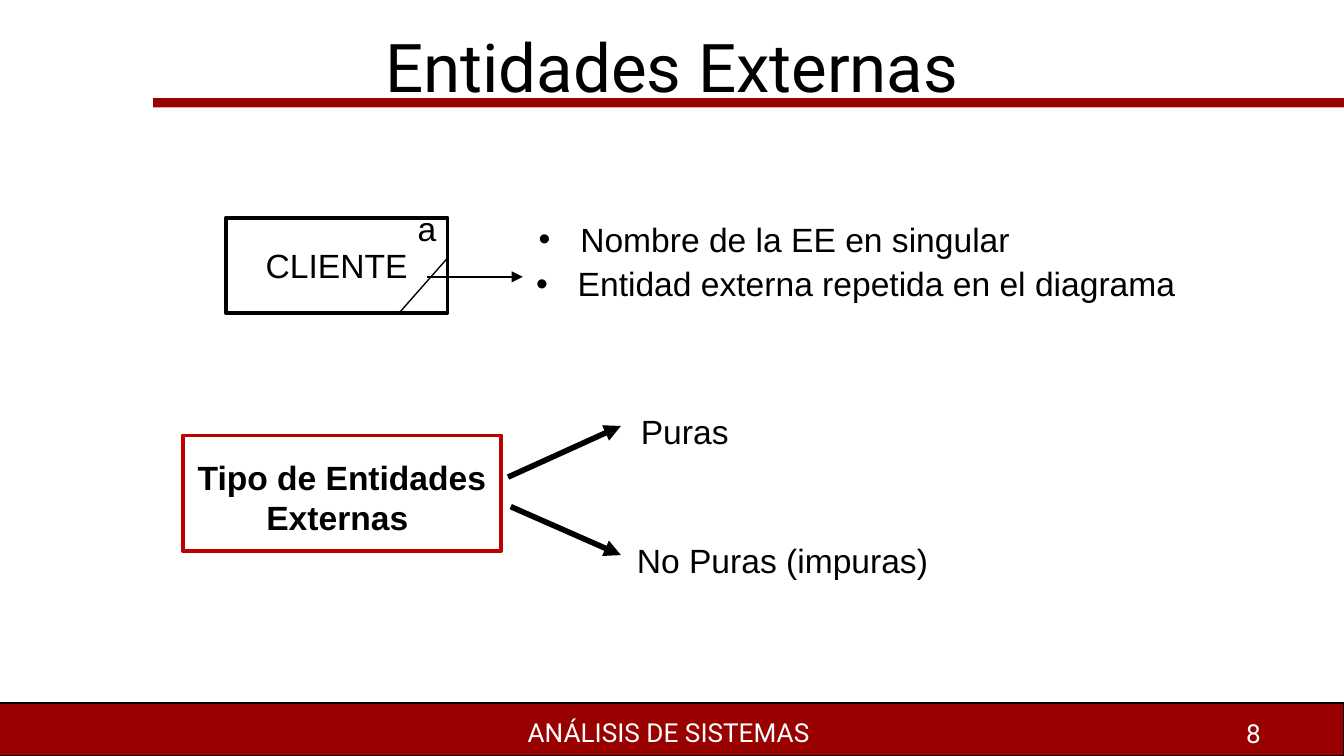
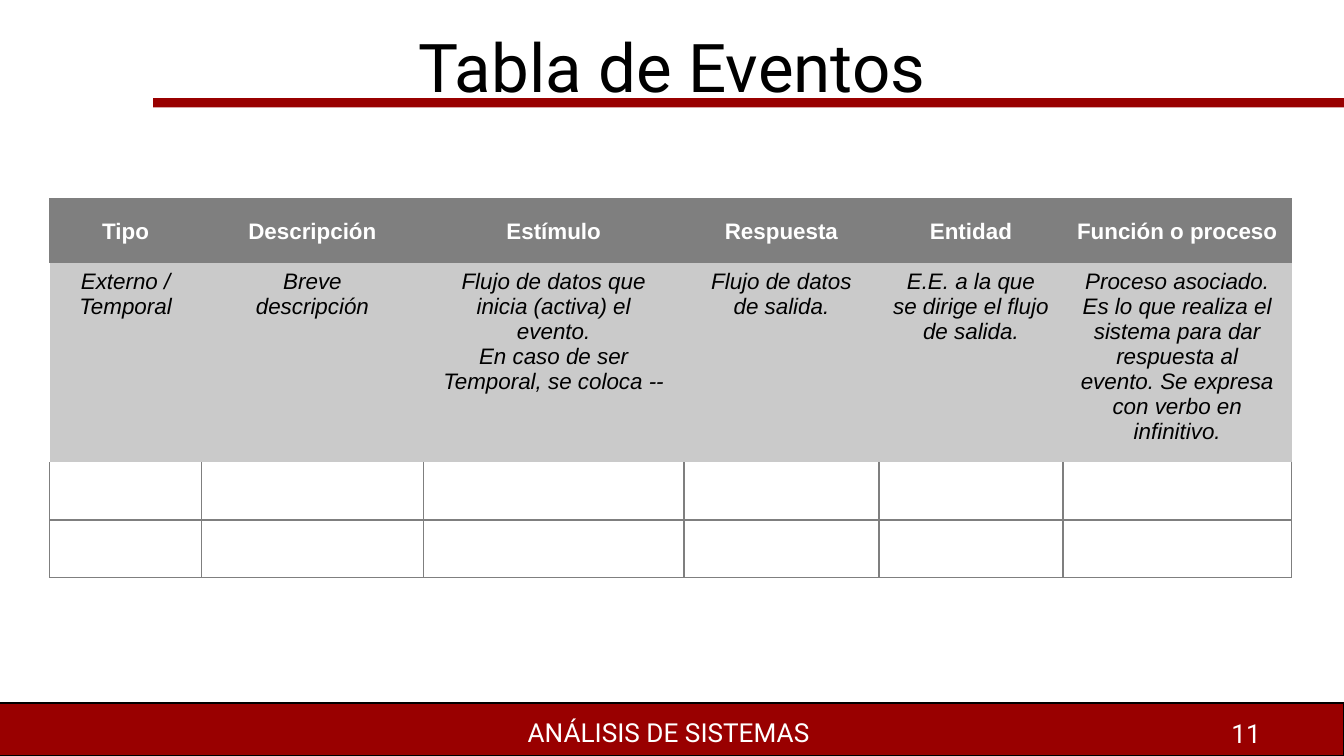
import pptx
import pptx.dml.color
import pptx.enum.shapes
import pptx.enum.text
import pptx.oxml.ns
import pptx.util
import lxml.etree

Inches, Pt, qn = pptx.util.Inches, pptx.util.Pt, pptx.oxml.ns.qn
ALIGN = pptx.enum.text.PP_ALIGN
MIDDLE = pptx.enum.text.MSO_ANCHOR.MIDDLE
TOP = pptx.enum.text.MSO_ANCHOR.TOP
RECT = pptx.enum.shapes.MSO_SHAPE.RECTANGLE
STRAIGHT = pptx.enum.shapes.MSO_CONNECTOR.STRAIGHT

RED, BORDER = "990000", "C00000"
BLACK, WHITE = "000000", "FFFFFF"
GRAY, LIGHT = "7F7F7F", "CACACA"
BODY, HEAD = "Arial", "Roboto"


def rgb(code):
    return pptx.dml.color.RGBColor.from_string(code)


def write(frame, lines, size=18, color=BLACK, font=BODY, align=ALIGN.LEFT,
          bold=False, italic=False, bullet=False):
    """Fill a text frame with one paragraph per line."""
    for i, line in enumerate(lines):
        para = frame.add_paragraph() if i else frame.paragraphs[0]
        para.alignment = align
        if bullet:
            props = para._p.get_or_add_pPr()
            props.set("marL", str(Inches(0.31)))
            props.set("indent", str(-Inches(0.31)))
            tint = lxml.etree.SubElement(props, qn("a:buClr"))
            lxml.etree.SubElement(tint, qn("a:srgbClr")).set("val", color)
            lxml.etree.SubElement(props, qn("a:buFont")).set("typeface", BODY)
            lxml.etree.SubElement(props, qn("a:buChar")).set("char", "•")
        run = para.add_run()
        run.text = line
        run.font.size = Pt(size)
        run.font.name = font
        run.font.bold = bold
        run.font.italic = italic
        run.font.color.rgb = rgb(color)
        # The paragraph mark also counts towards the height of a table row
        mark = lxml.etree.SubElement(para._p, qn("a:endParaRPr"))
        mark.set("sz", str(size * 100))


deck = pptx.Presentation()
deck.slide_width = Inches(10)
deck.slide_height = deck.slide_width * 9 // 16

# Shared parts: rectangles are (place, fill, line, width, text)
bars = [
    ((-0.04, 5.23, 10.04, 0.39), RED, BLACK, 0.75, []),
    ((1.14, 0.73, 8.86, 0.07), RED, None, 0, []),
]
foot = dict(size=14, color=WHITE, font=HEAD)
big = dict(size=36, font=HEAD, align=ALIGN.CENTER)

# Boxes and labels of the entity slide
frames = [
    ((1.36, 3.24, 2.37, 0.86), WHITE, BORDER, 2, []),
    ((1.68, 1.62, 1.65, 0.71), WHITE, BLACK, 2, ["CLIENTE"]),
]
labels = [
    ((3.01, 1.5, 0.34, 0.4), ["a"], TOP, {}),
    ((3.89, 1.91, 5.01, 0.4), ["Entidad externa repetida en el diagrama"], TOP,
     dict(bullet=True)),
    ((3.91, 1.58, 3.74, 0.4), ["Nombre de la EE en singular"], TOP,
     dict(bullet=True)),
    ((1.36, 3.35, 2.37, 0.71), ["Tipo de Entidades", "Externas "], TOP,
     dict(align=ALIGN.CENTER, bold=True)),
    ((4.67, 3.01, 0.86, 0.4), ["Puras"], TOP, {}),
    ((4.64, 3.97, 2.39, 0.4), ["No Puras (impuras)"], TOP, {}),
]

pages = [
    ("Entidades Externas", "8", frames, labels),
    ("Tabla de Eventos", "11", [], []),
]
slides = []
for title, number, rects, texts in pages:
    slide = deck.slides.add_slide(deck.slide_layouts[6])
    slides.append(slide)
    for place, fill, line, width, lines in bars + rects:
        shape = slide.shapes.add_shape(RECT, *map(Inches, place))
        shape.shadow.inherit = False
        shape.fill.solid()
        shape.fill.fore_color.rgb = rgb(fill)
        if line:
            shape.line.color.rgb = rgb(line)
            shape.line.width = Pt(width)
        else:
            shape.line.fill.background()
        write(shape.text_frame, lines, align=ALIGN.CENTER)
    common = [
        ((7.15, 5.29, 2.33, 0.34), [number], TOP, dict(foot, align=ALIGN.RIGHT)),
        ((0, 5.28, 10, 0.34), ["ANÁLISIS DE SISTEMAS "], TOP,
         dict(foot, align=ALIGN.CENTER)),
        ((0, 0.23, 10, 0.52), [title], MIDDLE, big),
    ]
    for place, lines, anchor, style in common + texts:
        frame = slide.shapes.add_textbox(*map(Inches, place)).text_frame
        frame.word_wrap = True
        frame.vertical_anchor = anchor
        write(frame, lines, **style)

# Lines of the entity slide: ends, width, arrowhead
links = [
    ((3.33, 1.92, 2.96, 2.34), 0.75, False),
    ((3.18, 2.06, 3.89, 2.06), 0.75, True),
    ((3.78, 3.55, 4.62, 3.17), 3, True),
    ((3.8, 3.77, 4.62, 4.13), 3, True),
]
for ends, width, arrow in links:
    link = slides[0].shapes.add_connector(STRAIGHT, *map(Inches, ends))
    link.line.color.rgb = rgb(BLACK)
    link.line.width = Pt(width)
    if arrow:
        tail = lxml.etree.SubElement(link.line._get_or_add_ln(), qn("a:tailEnd"))
        tail.set("type", "triangle")
    lxml.etree.SubElement(link._element.spPr, qn("a:effectLst"))

# Event table: each cell is a list of paragraphs
heads = ["Tipo", "Descripción", "Estímulo", "Respuesta", "Entidad",
         "Función o proceso"]
notes = [
    ["Externo /", "Temporal"],
    ["Breve", "descripción"],
    ["Flujo de datos que inicia (activa) el evento.",
     "En caso de ser Temporal, se coloca --"],
    ["Flujo de datos de salida."],
    ["E.E. a la que se dirige el flujo de salida."],
    ["Proceso asociado. Es lo que realiza el sistema para dar respuesta al "
     "evento. Se expresa con verbo en infinitivo."],
]
blank = [[] for head in heads]
# Rows: height, fill, bordered sides, cells, anchor, text style
rows = [
    (0.48, GRAY, "LRT", [[head] for head in heads], MIDDLE,
     dict(color=WHITE, bold=True)),
    (1.39, LIGHT, "", notes, TOP, dict(italic=True)),
    (0.43, WHITE, "LRB", blank, TOP, {}),
    (0.43, WHITE, "LRTB", blank, TOP, {}),
]
widths = [1.13, 1.65, 1.94, 1.45, 1.37, 1.7]
table = slides[1].shapes.add_table(
    len(rows), len(widths), *map(Inches, (0.37, 1.48, 9.24, 2.73))).table
table.horz_banding = False
for col, width in zip(table.columns, widths):
    col.width = Inches(width)
for r, (height, fill, sides, cells, anchor, style) in enumerate(rows):
    table.rows[r].height = Inches(height)
    for c, lines in enumerate(cells):
        cell = table.cell(r, c)
        cell.margin_left = cell.margin_right = Inches(0.1)
        cell.margin_top = cell.margin_bottom = Inches(0.04)
        cell.vertical_anchor = anchor
        props = cell._tc.get_or_add_tcPr()
        for side in "LRTB":
            edge = lxml.etree.SubElement(props, qn("a:ln" + side))
            if side in sides:
                edge.set("w", str(Pt(0.75)))
                paint = lxml.etree.SubElement(edge, qn("a:solidFill"))
                lxml.etree.SubElement(paint, qn("a:srgbClr")).set("val", GRAY)
            else:
                lxml.etree.SubElement(edge, qn("a:noFill"))
        cell.fill.solid()
        cell.fill.fore_color.rgb = rgb(fill)
        write(cell.text_frame, lines, size=12, align=ALIGN.CENTER, **style)

deck.save("out.pptx")
